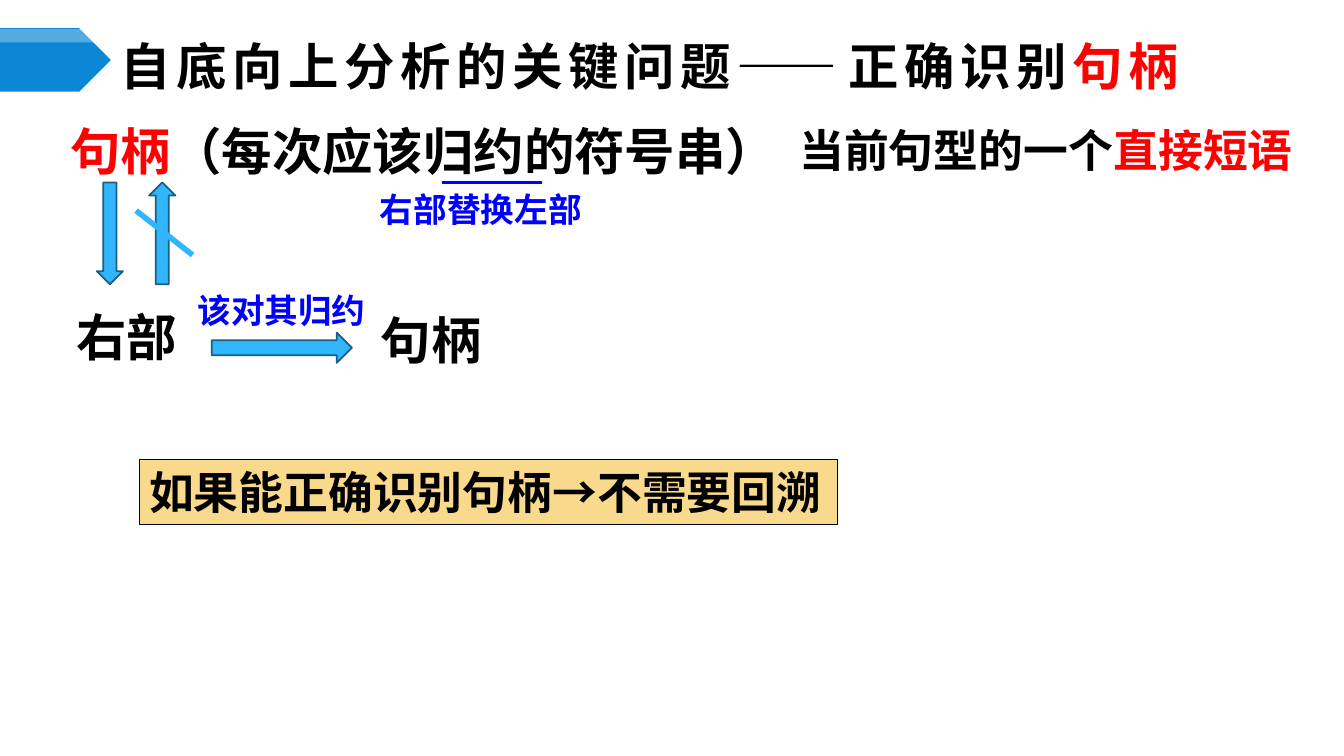
from lxml.etree import SubElement
from pptx import Presentation
from pptx.dml.color import RGBColor
from pptx.enum.shapes import MSO_CONNECTOR, MSO_SHAPE as Preset
from pptx.enum.text import MSO_ANCHOR as Anchor, PP_ALIGN as Align
from pptx.oxml.ns import qn
from pptx.util import Inches, Pt

COLORS = {
    "black": "000000", "white": "FFFFFF", "red": "FF0000", "blue": "0000FF",
    "banner": "0B87D6", "arrow": "31B6FD", "outline": "195F84", "sand": "F9D98C",
}
CJK = "Noto Sans CJK SC"


def rgb(name):
    return RGBColor.from_string(COLORS[name])


class SlideBuilder:
    def __init__(self, slide):
        self.slide = slide

    def shape(self, preset, box, fill, line=None, width=1.25, alpha=None):
        shape = self.slide.shapes.add_shape(preset, *map(Inches, box))
        shape.shadow.inherit = False
        shape.fill.solid()
        shape.fill.fore_color.rgb = rgb(fill)
        if alpha is not None:
            color = shape._element.spPr.find(".//" + qn("a:srgbClr"))
            SubElement(color, qn("a:alpha"), val=str(alpha * 1000))
        if line:
            shape.line.color.rgb = rgb(line)
            shape.line.width = Pt(width)
        else:
            shape.line.fill.background()
        return shape

    def line(self, start, end, color, width):
        line = self.slide.shapes.add_connector(
            MSO_CONNECTOR.STRAIGHT, *map(Inches, start + end))
        line.line.color.rgb = rgb(color)
        line.line.width = Pt(width)
        SubElement(line._element.spPr, qn("a:effectLst"))

    def label(self, shape, parts, size, wrap=False, anchor=Anchor.TOP,
              font=CJK, tracking=0):
        frame = shape.text_frame
        frame.word_wrap = wrap
        frame.vertical_anchor = anchor
        paragraph = frame.paragraphs[0]
        paragraph.alignment = Align.LEFT
        for text, color in parts:
            run = paragraph.add_run()
            run.text = text
            run.font.size = Pt(size)
            run.font.bold = True
            run.font.name = font
            run.font.color.rgb = rgb(color)
            props = run._r.get_or_add_rPr()
            SubElement(props, qn("a:ea"), typeface=CJK)
            if tracking:
                props.set("spc", str(tracking * 100))
        return paragraph

    def text(self, box, parts, size, **style):
        textbox = self.slide.shapes.add_textbox(*map(Inches, box))
        return self.label(textbox, parts, size, **style)


def main():
    prs = Presentation()
    prs.slide_width, prs.slide_height = Inches(13.33), Inches(7.5)
    page = SlideBuilder(prs.slides.add_slide(prs.slide_layouts[6]))

    # Banner and title
    page.shape(Preset.PENTAGON, (0, 0.28, 1.1, 0.63), "banner")
    page.shape(Preset.PENTAGON, (0, 0.29, 1.1, 0.13), "white", alpha=30)
    page.text((1.1, 0.39, 11.56, 0.52),
              [("自底向上分析的关键问题——正确识别", "black"), ("句柄", "red")],
              36, wrap=True, anchor=Anchor.MIDDLE, tracking=4)

    # Definition of the handle
    definition = page.text(
        (0.6, 1.15, 12.11, 0.77),
        [("句柄", "red"), ("（每次应该归约的符号串）", "black")], 36, wrap=True)
    definition.line_spacing = Pt(42.7)
    page.text((7.83, 1.17, 5.14, 0.64),
              [("当前句型的一个", "black"), ("直接短语", "red")], 32)
    page.line((4.38, 1.81), (5.38, 1.81), "blue", 2)
    page.text((3.67, 1.83, 2.22, 0.5), [("右部替换左部", "blue")], 24)

    # Handle and right side: one direction only
    for preset, left in ((Preset.DOWN_ARROW, 0.96), (Preset.UP_ARROW, 1.48)):
        page.shape(preset, (left, 1.81, 0.26, 1.01), "arrow", "outline")
    page.line((1.35, 2.09), (1.91, 2.53), "arrow", 4)
    page.text((0.66, 2.99, 1.21, 0.71), [("右部", "black")], 36)

    # Right side that should be reduced
    page.shape(Preset.RIGHT_ARROW, (2.1, 3.3, 1.39, 0.3), "arrow", "outline")
    page.text((3.68, 3.02, 1.25, 0.73), [("句柄", "black")], 36)
    page.text((1.86, 2.83, 1.88, 0.5), [("该对其归约", "blue")], 24)

    # Conclusion
    conclusion = page.shape(Preset.RECTANGLE, (1.38, 4.56, 6.93, 0.64),
                            "sand", "black", 0.75)
    page.label(conclusion, [("如果能正确识别句柄→不需要回溯", "black")],
               32, font="Calibri")

    prs.save("out.pptx")


if __name__ == "__main__":
    main()
